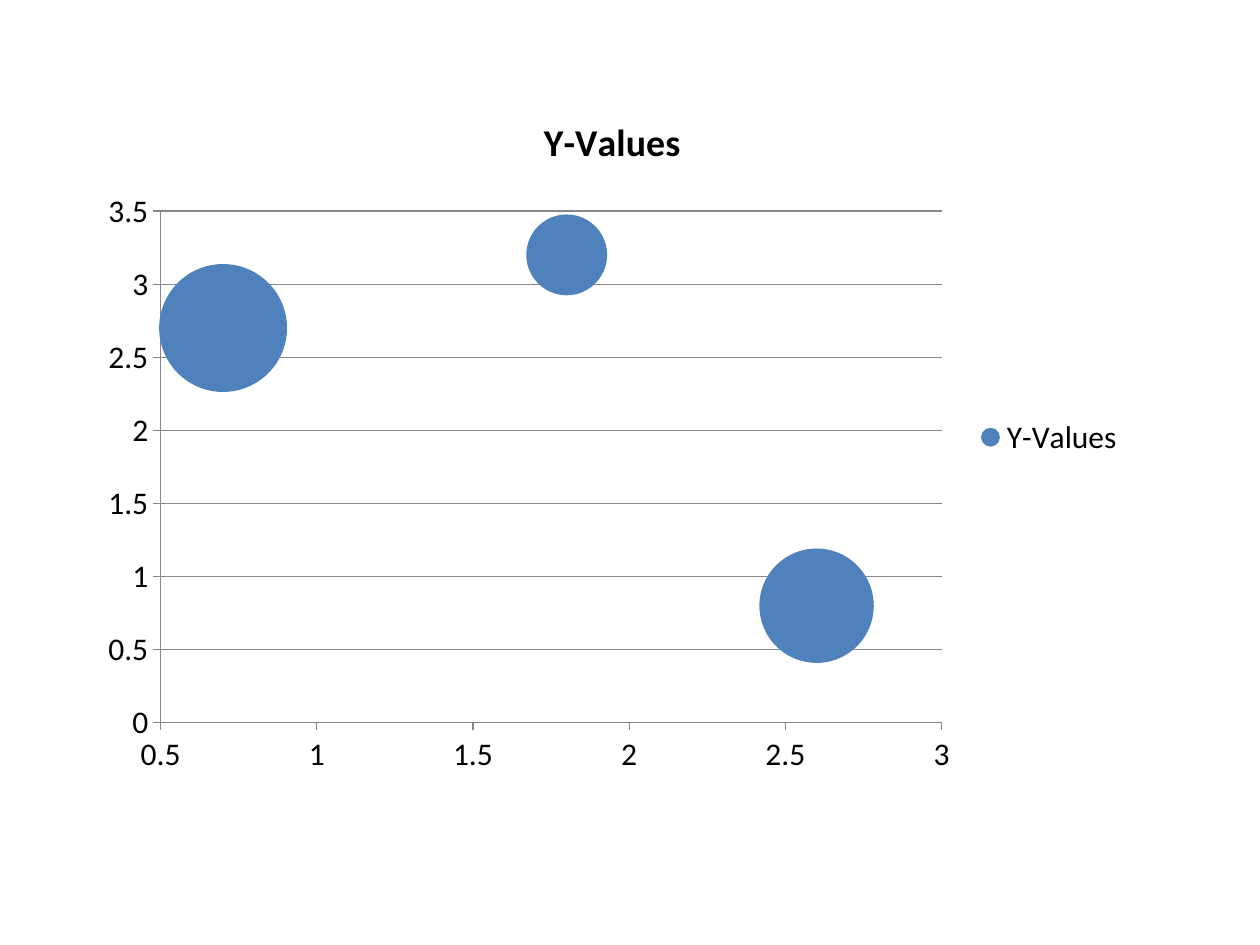
from pptx import Presentation
from pptx import util as u
from pptx.chart.data import BubbleChartData
from pptx.dml.color import RGBColor
from pptx.enum import chart as ch

COLORS = {"text": "000000", "bubble": "4F81BD", "line": "878787"}


class SlideBuilder:
    """Holds the style and the current slide."""

    font_name = "Calibri"
    font_size = 18
    title_size = 21.6

    def __init__(self, slide):
        self.slide = slide

    def style_font(self, font, size, bold=False):
        font.name = self.font_name
        font.size = u.Pt(size)
        font.bold = bold
        font.color.rgb = RGBColor.from_string(COLORS["text"])

    def style_line(self, line):
        line.color.rgb = RGBColor.from_string(COLORS["line"])
        line.width = u.Pt(0.75)

    def style_axis(self, axis, low, high, step, gridlines):
        axis.minimum_scale, axis.maximum_scale = low, high
        axis.major_unit = step
        axis.major_tick_mark = ch.XL_TICK_MARK.OUTSIDE
        axis.minor_tick_mark = ch.XL_TICK_MARK.NONE
        axis.has_major_gridlines = gridlines
        self.style_line(axis.format.line)
        if gridlines:
            self.style_line(axis.major_gridlines.format.line)

    def bubble_chart(self, left, top, width, height, name, points):
        data = BubbleChartData(number_format="General")
        series = data.add_series(name)
        for x, y, size in points:
            series.add_data_point(x, y, size)
        chart = self.slide.shapes.add_chart(
            ch.XL_CHART_TYPE.BUBBLE, u.Cm(left), u.Cm(top), u.Cm(width), u.Cm(height), data
        ).chart
        self.style_font(chart.font, self.font_size)

        # Title and legend
        chart.has_title = True
        chart.chart_title.text_frame.text = name
        title = chart.chart_title.text_frame.paragraphs[0]
        self.style_font(title.font, self.title_size, bold=True)
        chart.has_legend = True
        chart.legend.position = ch.XL_LEGEND_POSITION.RIGHT
        chart.legend.include_in_layout = False

        # Bubbles: a new bubble chart already has one colour per series
        plot = chart.plots[0]
        plot.bubble_scale = 100
        bubbles = plot.series[0].format
        bubbles.fill.solid()
        bubbles.fill.fore_color.rgb = RGBColor.from_string(COLORS["bubble"])
        bubbles.line.fill.background()

        # Axes
        self.style_axis(chart.category_axis, 0.5, 3, 0.5, gridlines=False)
        self.style_axis(chart.value_axis, 0, 3.5, 0.5, gridlines=True)


def main():
    presentation = Presentation()
    presentation.slide_width, presentation.slide_height = u.Cm(25.4), u.Cm(19.05)
    builder = SlideBuilder(presentation.slides.add_slide(presentation.slide_layouts[6]))
    # Each point is x, y, bubble size
    points = [(0.7, 2.7, 10), (1.8, 3.2, 4), (2.6, 0.8, 8)]
    builder.bubble_chart(1.76, 1.76, 21.17, 14.11, "Y-Values", points)
    presentation.save("out.pptx")


if __name__ == "__main__":
    main()
